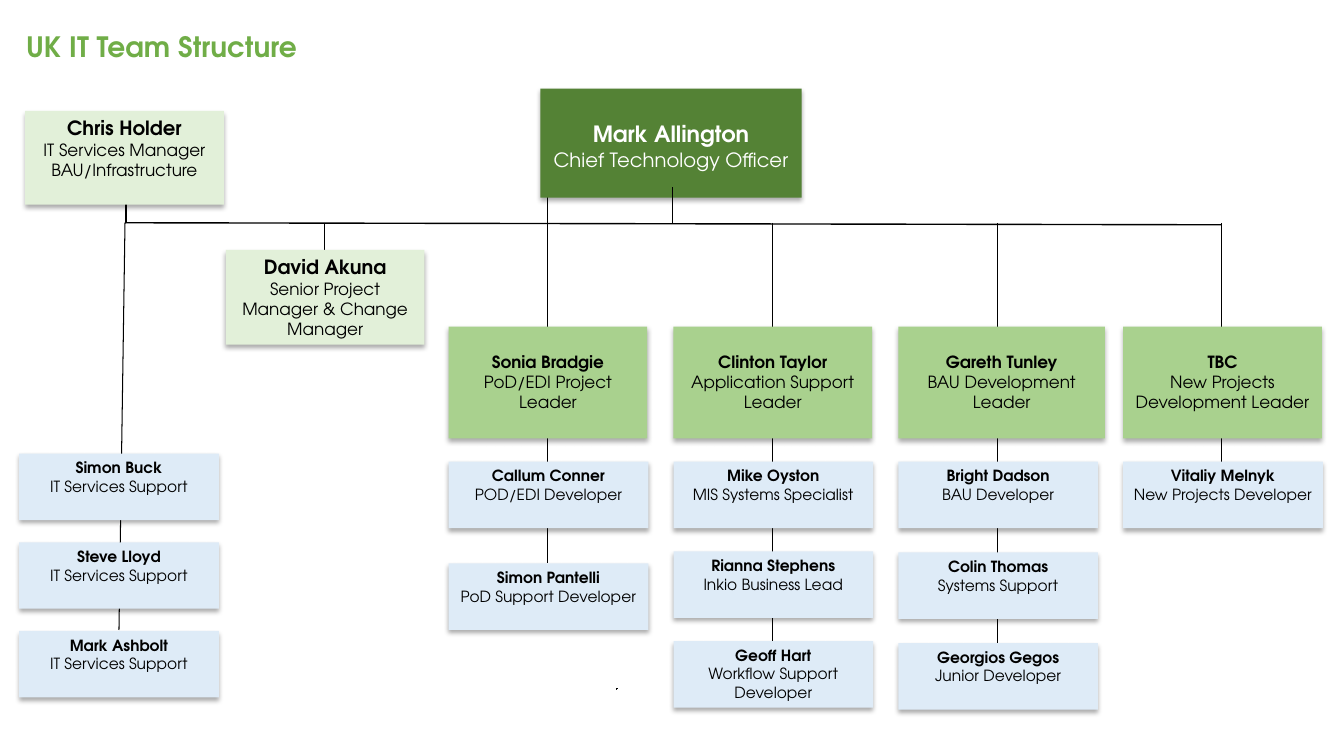
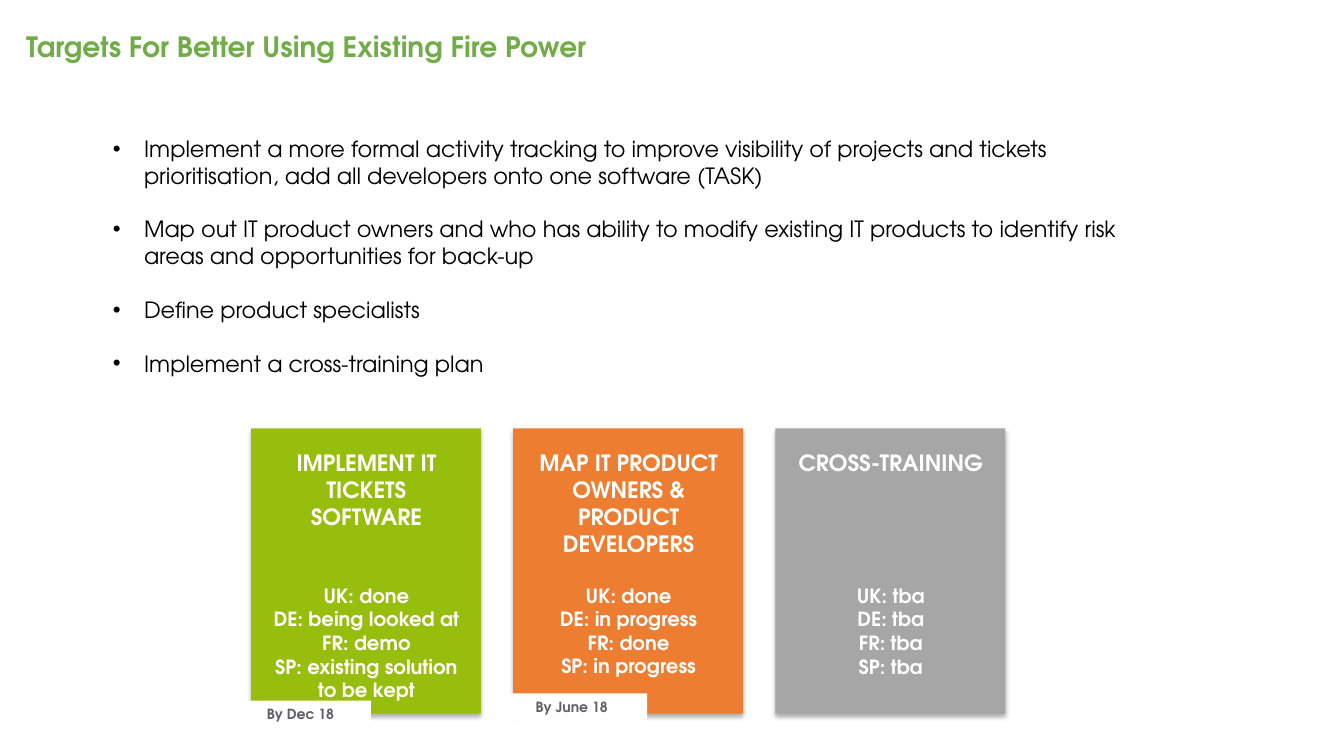
from dataclasses import dataclass

from lxml import etree
from pptx import Presentation
from pptx.dml.color import RGBColor
from pptx.enum.shapes import MSO_CONNECTOR, MSO_SHAPE
from pptx.enum.text import MSO_ANCHOR, PP_ALIGN
from pptx.oxml.ns import qn
from pptx.util import Inches, Pt

RECTANGLE = MSO_SHAPE.RECTANGLE
STRAIGHT = MSO_CONNECTOR.STRAIGHT
ELBOW = MSO_CONNECTOR.ELBOW
TOP, BOTTOM = MSO_ANCHOR.TOP, MSO_ANCHOR.BOTTOM
LEFT, CENTER = PP_ALIGN.LEFT, PP_ALIGN.CENTER


@dataclass(frozen=True)
class Theme:
    """Colours, font and type sizes shared by the slides."""
    font: str = "TeX Gyre Adventor"
    title: str = "70AD47"
    black: str = "000000"
    white: str = "FFFFFF"
    chief: str = "548235"
    manager: str = "E2F0D9"
    leader: str = "A9D18E"
    report: str = "DEEBF7"
    lime: str = "97BE0D"
    orange: str = "ED7D31"
    grey: str = "A6A6A6"
    tag_text: str = "5F6062"
    title_size: int = 20
    heading_size: int = 16
    status_size: int = 14
    role_size: int = 12
    report_size: int = 11
    tag_size: int = 10
    line_ratio: float = 1.2


THEME = Theme()

# Leader: name, role, width, connector weight, gap between reports, reports
TEAMS = [
    ("Sonia Bradgie", "PoD/EDI Project Leader", 1.97, 0.75, 1.01,
     [("Callum Conner", "POD/EDI Developer"),
      ("Simon Pantelli", "PoD Support Developer")]),
    ("Clinton Taylor", "Application Support Leader", 1.97, 1, 0.89,
     [("Mike Oyston", "MIS Systems Specialist"),
      ("Rianna Stephens", "Inkio Business Lead"),
      ("Geoff Hart", "Workflow Support Developer")]),
    ("Gareth Tunley", "BAU Development Leader", 2.05, 0.75, 0.9,
     [("Bright Dadson", "BAU Developer"),
      ("Colin Thomas", "Systems Support"),
      ("Georgios Gegos", "Junior Developer")]),
    ("TBC", "New Projects Development Leader", 1.97, 0.75, 0.9,
     [("Vitaliy Melnyk", "New Projects Developer")]),
]
SERVICES = [(name, "IT Services Support")
            for name in ("Simon Buck", "Steve Lloyd", "Mark Ashbolt")]
GOALS = [
    "Implement a more formal activity tracking to improve visibility of projects "
    "and tickets prioritisation, add all developers onto one software (TASK)",
    "Map out IT product owners and who has ability to modify existing IT products "
    "to identify risk areas and opportunities for back-up",
    "Define product specialists",
    "Implement a cross-training plan",
]
# Target: heading, colour, free lines under the heading, statuses
TARGETS = [
    ("IMPLEMENT IT TICKETS SOFTWARE", THEME.lime, 2,
     ["UK: done", "DE: being looked at", "FR: demo",
      "SP: existing solution to be kept"]),
    ("MAP IT PRODUCT OWNERS & PRODUCT DEVELOPERS", THEME.orange, 1,
     ["UK: done", "DE: in progress", "FR: done", "SP: in progress"]),
    ("CROSS-TRAINING", THEME.grey, 4,
     ["UK: tba", "DE: tba", "FR: tba", "SP: tba"]),
]
TAGS = [("By Dec 18", (2.28, 6.95, 1.4, 0.27)),
        ("By June 18", (4.92, 6.88, 1.5, 0.27))]


def write(frame, text, *, size, color=THEME.black, bold=False, align=LEFT,
          before=0, spacing=None, bullet_indent=None):
    """Add one formatted paragraph to a text frame and return it."""
    first = frame.paragraphs[0]
    paragraph = frame.add_paragraph() if first.runs else first
    paragraph.alignment = align
    if before:
        paragraph.space_before = Pt(before)
    if spacing:
        paragraph.line_spacing = spacing
    run = paragraph.add_run()
    run.text = text
    run.font.name = THEME.font
    run.font.size = Pt(size)
    run.font.bold = bold
    run.font.color.rgb = RGBColor.from_string(color)
    if bullet_indent:
        properties = paragraph._p.get_or_add_pPr()
        properties.set("marL", str(Inches(bullet_indent)))
        properties.set("indent", str(-Inches(bullet_indent)))
        etree.SubElement(properties, qn("a:buFont"), typeface="Arial")
        etree.SubElement(properties, qn("a:buChar"), char="\u2022")
    return paragraph


def add_text_box(slide, box, anchor=TOP):
    """Place a wrapping text box and return its frame."""
    frame = slide.shapes.add_textbox(*map(Inches, box)).text_frame
    frame.word_wrap = True
    frame.vertical_anchor = anchor
    return frame


def add_block(slide, box, fill, shadow=True):
    """Place a filled rectangle and return its text frame."""
    shape = slide.shapes.add_shape(RECTANGLE, *map(Inches, box))
    shape.fill.solid()
    shape.fill.fore_color.rgb = RGBColor.from_string(fill)
    shape.line.fill.background()
    shape.shadow.inherit = False
    if shadow:
        effects = shape._element.spPr.find(qn("a:effectLst"))
        outer = etree.SubElement(
            effects, qn("a:outerShdw"), blurRad=str(Pt(3.5)), dist=str(Pt(2.2)),
            dir="5400000", algn="t", rotWithShape="0")
        color = etree.SubElement(outer, qn("a:srgbClr"), val=THEME.black)
        etree.SubElement(color, qn("a:alpha"), val="32000")
    frame = shape.text_frame
    frame.word_wrap = True
    frame.vertical_anchor = TOP
    return frame


def add_line(slide, start, end, weight=0.75, kind=STRAIGHT):
    """Join two points with a thin black connector."""
    connector = slide.shapes.add_connector(kind, *map(Inches, (*start, *end)))
    connector.line.color.rgb = RGBColor.from_string(THEME.black)
    connector.line.width = Pt(weight)
    etree.SubElement(connector._element.spPr, qn("a:effectLst"))


def add_title(slide, text):
    """Place the slide title at the top left."""
    frame = add_text_box(slide, (0.16, 0.13, 6.51, 0.55), BOTTOM)
    write(frame, text, size=THEME.title_size, color=THEME.title, bold=True,
          spacing=0.9)


def add_person(slide, box, fill, name, roles, *, name_size, role_size,
               color=THEME.black, lead_line=False):
    """Place a card with a name over its role lines."""
    frame = add_block(slide, box, fill)
    if lead_line:
        frame.margin_top = Inches(0.05) + Pt(name_size * THEME.line_ratio)
    write(frame, name, size=name_size, color=color, bold=True, align=CENTER)
    for role in roles:
        write(frame, role, size=role_size, color=color, align=CENTER)


def add_reports(slide, left, top, pitch, people):
    """Stack the cards of a leader's reports at an equal pitch."""
    for row, (name, role) in enumerate(people):
        add_person(slide, (left, top + row * pitch, 1.98, 0.66), THEME.report,
                   name, [role], name_size=THEME.report_size,
                   role_size=THEME.report_size)


def add_team(slide, left, top, bar, team):
    """Place a leader, the reports below and the line from the bar."""
    name, role, width, weight, pitch, people = team
    first_report = top + 1.34
    center = left + 0.98
    add_line(slide, (center, bar),
             (center, first_report + (len(people) - 1) * pitch), weight)
    add_person(slide, (left, top, width, 1.11), THEME.leader, name, [role],
               name_size=THEME.role_size, role_size=THEME.role_size,
               lead_line=True)
    add_reports(slide, left, first_report, pitch, people)


def add_managers(slide, bar):
    """Place the chief, both managers and the lines that join them."""
    add_line(slide, (1.25, 1.84), (1.25, bar), 1.5)
    add_line(slide, (3.22, bar), (3.22, 2.58))
    add_line(slide, (1.24, bar), (1.18, 6.25))
    add_line(slide, (5.43, 1.44), (5.43, bar))
    sizes = {"name_size": THEME.status_size, "role_size": THEME.role_size}
    add_person(slide, (2.24, 2.48, 1.97, 0.94), THEME.manager, "David Akuna",
               ["Senior Project Manager & Change Manager"], **sizes)
    add_person(slide, (0.25, 1.1, 1.97, 0.93), THEME.manager, "Chris Holder",
               ["IT Services Manager", "BAU/Infrastructure"], **sizes)
    add_person(slide, (5.36, 0.88, 2.59, 1.08), THEME.chief, "Mark Allington",
               ["Chief Technology Officer"], name_size=THEME.heading_size,
               role_size=THEME.status_size, color=THEME.white, lead_line=True)
    add_line(slide, (6.67, 1.86), (6.67, bar))
    add_line(slide, (1.24, bar), (12.11, bar + 0.02), 1)


def build_structure(slide):
    """Build the team chart."""
    bar = 2.21
    add_title(slide, "UK IT Team Structure")
    add_managers(slide, bar)
    for column, team in enumerate(TEAMS):
        add_team(slide, 4.45 + column * 2.23, 3.24, bar, team)
    add_reports(slide, 0.19, 4.5, 0.88, SERVICES)
    add_line(slide, (6.11, 6.84), (6.12, 6.83), 0.5, ELBOW)


def add_goals(slide, box):
    """Place the bulleted goals, one free line apart."""
    frame = add_text_box(slide, box)
    for index, goal in enumerate(GOALS):
        write(frame, goal, size=THEME.heading_size, bullet_indent=0.31,
              before=THEME.heading_size * THEME.line_ratio if index else 0)


def add_target(slide, box, target):
    """Place a coloured target card with its heading and statuses."""
    heading, fill, free_lines, statuses = target
    left, top, width, height = box
    add_block(slide, box, fill)
    frame = add_text_box(slide, (left + 0.08, top + 0.16, width - 0.15,
                                 height - 0.17))
    style = {"color": THEME.white, "bold": True, "align": CENTER}
    write(frame, heading, size=THEME.heading_size, **style)
    gap = free_lines * THEME.heading_size * THEME.line_ratio
    for index, status in enumerate(statuses):
        write(frame, status, size=THEME.status_size,
              before=0 if index else gap, **style)


def build_targets(slide):
    """Build the goals and the three target cards."""
    add_title(slide, "Targets For Better Using Existing Fire Power")
    add_goals(slide, (1.02, 1.29, 10.19, 2.83))
    for column, target in enumerate(TARGETS):
        add_target(slide, (2.49 + column * 2.6, 4.25, 2.28, 2.83), target)
    for text, box in TAGS:
        frame = add_block(slide, box, THEME.white, shadow=False)
        write(frame, text, size=THEME.tag_size, color=THEME.tag_text, bold=True,
              align=CENTER)


def main():
    """Build and save the presentation."""
    presentation = Presentation()
    presentation.slide_width = Inches(13.33)
    presentation.slide_height = Inches(7.5)
    blank = presentation.slide_layouts[6]
    for build in (build_structure, build_targets):
        build(presentation.slides.add_slide(blank))
    presentation.save("out.pptx")


main()
